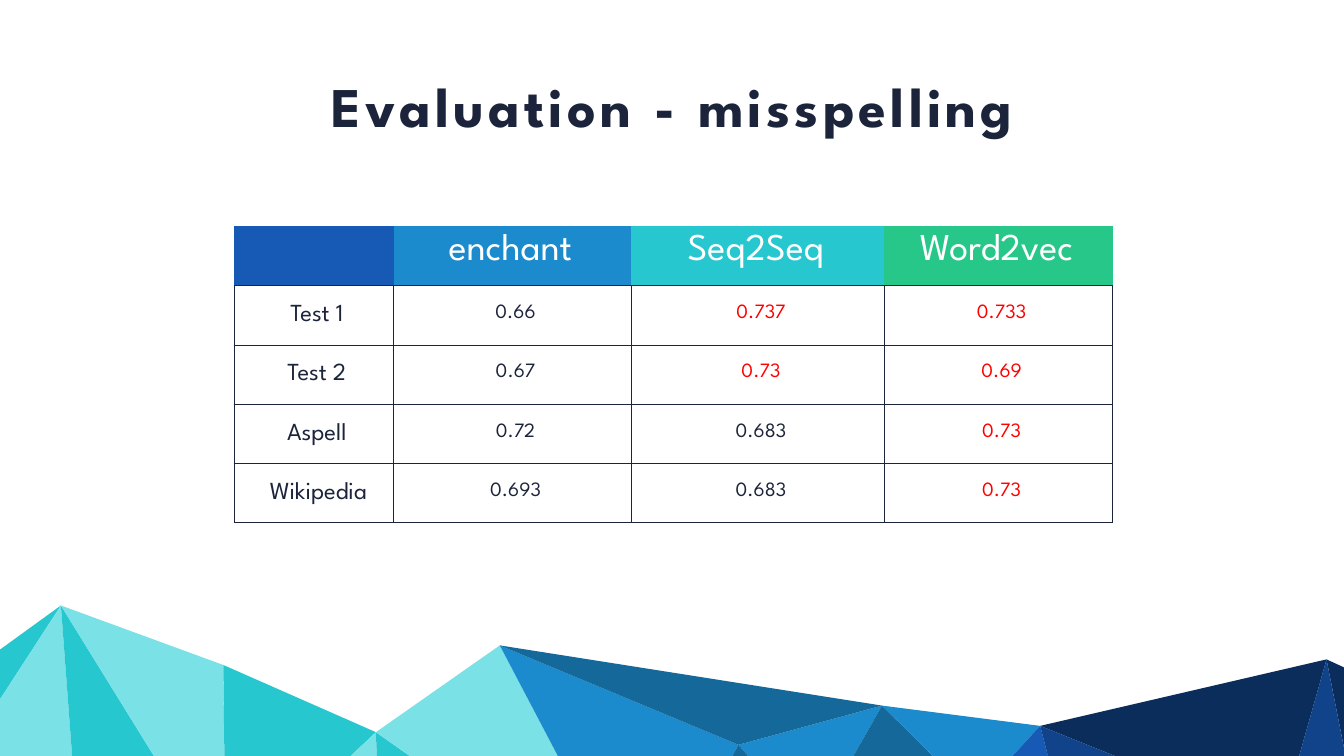
from lxml.etree import SubElement
from pptx import Presentation
from pptx.dml.color import RGBColor as RGB
from pptx.enum.text import MSO_AUTO_SIZE as AutoSize, PP_ALIGN as Align
from pptx.oxml.ns import qn
from pptx.util import Pt

NAVY = RGB(0x1B, 0x24, 0x3B)
WHITE = RGB(0xFF, 0xFF, 0xFF)
RED = RGB(0xFF, 0x00, 0x00)
TEAL = RGB(0x27, 0xC7, 0xCF)
AQUA = RGB(0x7A, 0xE1, 0xE6)
GREEN = RGB(0x27, 0xC7, 0x8A)
SKY = RGB(0x1B, 0x8B, 0xCD)
STEEL = RGB(0x14, 0x68, 0x9A)
ROYAL = RGB(0x16, 0x5A, 0xB6)
COBALT = RGB(0x10, 0x43, 0x89)
MIDNIGHT = RGB(0x0B, 0x2D, 0x5B)

# Corners shared by neighbouring facets of the mountain range
FLOOR = 1200
PEAK_1, SHOULDER, VALLEY_1 = (87, 865), (319, 950), (537, 1046)
PEAK_2, NOTCH, CREST = (714, 922), (1055, 1064), (1260, 1008)
HOLLOW, FOLD, VALLEY_2 = (1159, 1186), (1392, 1139), (1486, 1037)
RIDGE, PEAK_3 = (1829, 1175), (1895, 942)
LEFT_HIGH, LEFT_LOW = (0, 928), (0, 999)
RIGHT_HIGH, RIGHT_LOW = (1930, 958), (1930, 1119)
(BASE_0, BASE_1, BASE_2, BASE_3, BASE_4, BASE_5, BASE_6, BASE_7, BASE_8,
 BASE_9, BASE_10, BASE_11, BASE_12, BASE_13, BASE_14) = [
    (x, FLOOR) for x in (0, 112, 294, 322, 373, 543, 756, 860, 980, 1131,
                         1460, 1528, 1758, 1872, 1930)]

FACETS = [
    (TEAL, PEAK_1, LEFT_HIGH, LEFT_LOW),
    (AQUA, BASE_1, PEAK_1, LEFT_LOW, BASE_0),
    (TEAL, BASE_2, PEAK_1, BASE_1),
    (AQUA, BASE_3, SHOULDER, PEAK_1, BASE_2),
    (TEAL, BASE_4, VALLEY_1, SHOULDER, BASE_3),
    (AQUA, BASE_5, VALLEY_1, BASE_4),
    (TEAL, BASE_6, VALLEY_1, BASE_5),
    (AQUA, BASE_7, PEAK_2, VALLEY_1, BASE_6),
    (SKY, BASE_8, NOTCH, PEAK_2, BASE_7),
    (SKY, NOTCH, HOLLOW, CREST),
    (STEEL, HOLLOW, FOLD, CREST),
    (SKY, CREST, FOLD, VALLEY_2),
    (ROYAL, BASE_11, VALLEY_2, FOLD, BASE_10),
    (MIDNIGHT, VALLEY_2, RIDGE, PEAK_3),
    (COBALT, BASE_12, RIDGE, VALLEY_2, BASE_11),
    (MIDNIGHT, RIGHT_HIGH, PEAK_3, RIGHT_LOW),
    (COBALT, BASE_14, RIGHT_LOW, PEAK_3, RIDGE, BASE_13),
    (STEEL, PEAK_2, CREST, NOTCH),
    (STEEL, BASE_9, HOLLOW, NOTCH, BASE_8),
]

HEADER = ["", "enchant", "Seq2Seq", "Word2vec"]
HEADER_FILLS = [ROYAL, SKY, TEAL, GREEN]
SCORES = [
    ["Test 1", "0.66", "0.737", "0.733"],
    ["Test 2", "0.67", "0.73", "0.69"],
    ["Aspell", "0.72", "0.683", "0.73"],
    ["Wikipedia", "0.693", "0.683", "0.73"],
]
COL_WIDTHS = [228.2, 339.8, 361.4, 326.2]
ROW_HEIGHT = 84.7
SIDES = ("left", "top", "right", "bottom")
HEADER_INSETS = (0, 11.5, 6, 0)
BODY_INSETS = (15, 27, 6, 3)
WIDE_INSETS = (13.5, 27, 0, 3)


class Deck:
    font = "League Spartan"

    def __init__(self, width, height):
        self.prs = Presentation()
        self.prs.slide_width, self.prs.slide_height = Pt(width), Pt(height)
        self.s = self.prs.slides.add_slide(self.prs.slide_layouts[6])

    def add_text(self, tf, text, color, **fmt):
        p = tf.paragraphs[0]
        p.alignment = Align.CENTER
        r = p.add_run()
        r.text = text
        for name, value in {"name": self.font, **fmt}.items():
            setattr(r.font, name, value)
        r.font.color.rgb = color
        return r

    def facet(self, color, start, *rest):
        builder = self.s.shapes.build_freeform(*start, scale=Pt(1))
        builder.add_line_segments(rest, close=True)
        sp = builder.convert_to_shape()
        sp.shadow.inherit = False
        sp.fill.solid()
        sp.fill.fore_color.rgb = color
        sp.line.fill.background()

    def title(self, text, x, y, w, h):
        sp = self.s.shapes.add_textbox(Pt(x), Pt(y), Pt(w), Pt(h))
        tf = sp.text_frame
        tf.word_wrap = False
        tf.auto_size = AutoSize.SHAPE_TO_FIT_TEXT
        r = self.add_text(tf, text, NAVY, size=Pt(80), bold=True)
        r._r.get_or_add_rPr().set("spc", "600")

    def table(self, x, y, col_widths, row_height, rows):
        frame = self.s.shapes.add_table(
            rows, len(col_widths), Pt(x), Pt(y),
            Pt(sum(col_widths)), Pt(row_height * rows))
        tbl = frame.table
        tbl.first_row = tbl.horz_banding = False
        for col, width in zip(tbl.columns, col_widths):
            col.width = Pt(width)
        for row in tbl.rows:
            row.height = Pt(row_height)
        return tbl

    def cell(self, cell, text, fill, color, size, insets, borders):
        """Fill one cell; borders holds the letters of the sides that get a line."""
        for side, inset in zip(SIDES, insets):
            setattr(cell, f"margin_{side}", Pt(inset))
        tcPr = cell._tc.get_or_add_tcPr()
        for side in "LRTB":
            ln = SubElement(tcPr, qn(f"a:ln{side}"), w=str(Pt(1)))
            if side in borders:
                solid = SubElement(ln, qn("a:solidFill"))
                SubElement(solid, qn("a:srgbClr"), val=str(NAVY))
            else:
                SubElement(ln, qn("a:noFill"))
        cell.fill.solid()
        cell.fill.fore_color.rgb = fill
        if text:
            self.add_text(cell.text_frame, text, color, size=Pt(size))


def main():
    deck = Deck(1920, 1080)
    for facet in FACETS:
        deck.facet(*facet)

    tbl = deck.table(334, 323.3, COL_WIDTHS, ROW_HEIGHT, len(SCORES) + 1)
    for j, (text, fill) in enumerate(zip(HEADER, HEADER_FILLS)):
        deck.cell(tbl.cell(0, j), text, fill, WHITE, 54, HEADER_INSETS, "B")
    for i, row in enumerate(SCORES, 1):
        for j, text in enumerate(row):
            beats_enchant = j > 1 and float(text) > float(row[1])
            deck.cell(tbl.cell(i, j), text, WHITE,
                      RED if beats_enchant else NAVY,
                      29 if j else 35,
                      WIDE_INSETS if text == "Wikipedia" else BODY_INSETS,
                      "LRTB")

    deck.title("Evaluation - misspelling", 454, 98, 1013, 104.4)
    deck.prs.save("out.pptx")


if __name__ == "__main__":
    main()
